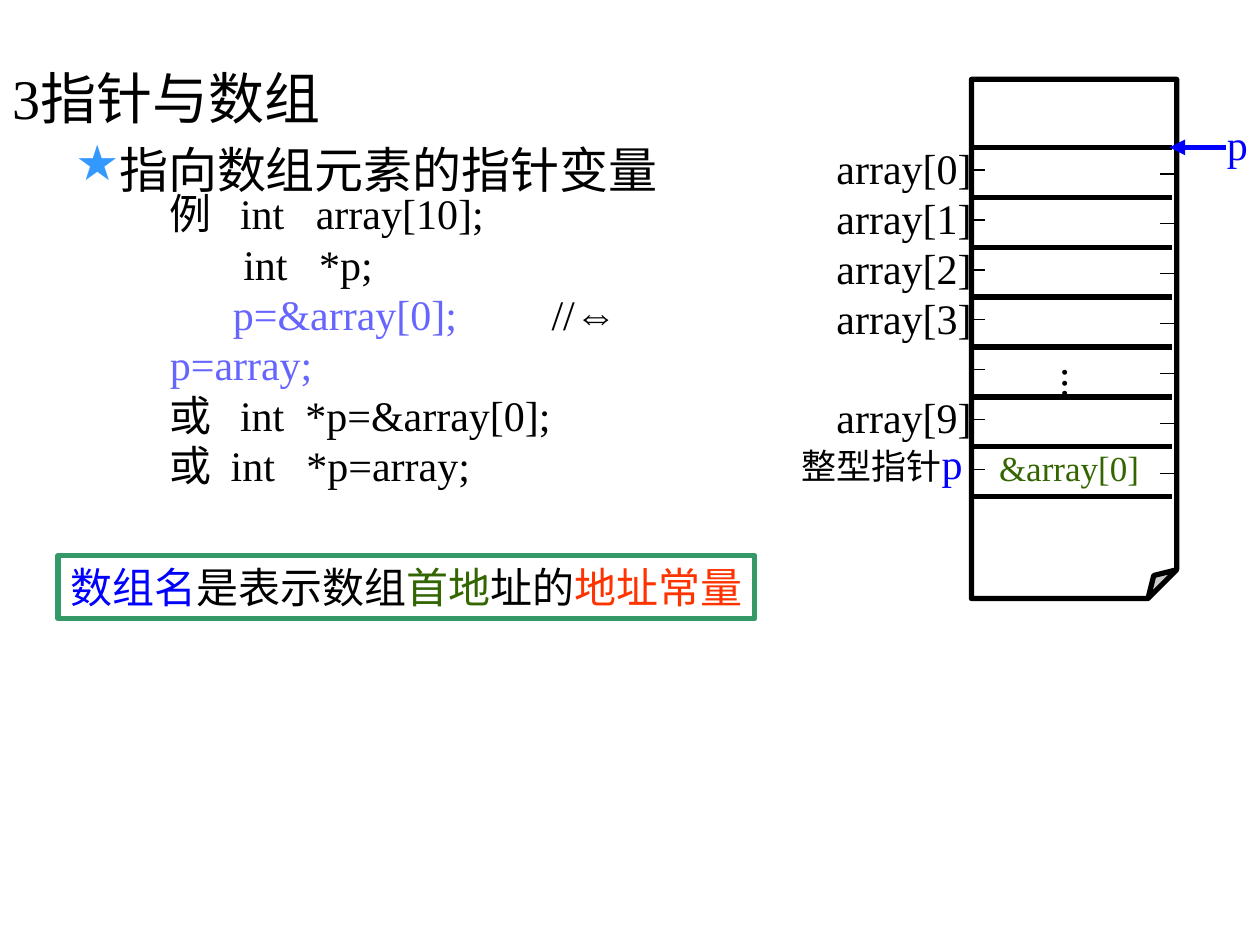
from lxml import etree
from pptx import Presentation
from pptx.dml.color import RGBColor
from pptx.enum.shapes import MSO_CONNECTOR, MSO_SHAPE
from pptx.enum.text import MSO_ANCHOR, MSO_AUTO_SIZE, PP_ALIGN
from pptx.oxml.ns import qn
from pptx.util import Inches, Pt

STRAIGHT = MSO_CONNECTOR.STRAIGHT
RECTANGLE = MSO_SHAPE.RECTANGLE
FOLDED_CORNER = MSO_SHAPE.FOLDED_CORNER
TOP = MSO_ANCHOR.TOP
MIDDLE = MSO_ANCHOR.MIDDLE
NO_AUTOFIT = MSO_AUTO_SIZE.NONE
LEFT = PP_ALIGN.LEFT
CENTER = PP_ALIGN.CENTER

SERIF = "Times New Roman"
BLACK, WHITE, BLUE = "000000", "FFFFFF", "0000FF"
GREEN, BORDER_GREEN, RED = "336600", "339966", "FF3300"
VIOLET, STAR_BLUE = "6666FF", "3399FF"

MEMORY_LEFT, MEMORY_RIGHT = 7.71, 9.3
FIRST_ROW, ROW_HEIGHT, ROW_COUNT = 1.17, 0.396, 7
TICK_LENGTH = 0.11

CODE = [
    [("例   int   array[10];", BLACK)],
    [("       int   *p;", BLACK)],
    [("      ", BLACK), ("p=&array[0];", VIOLET), ("         //", BLACK),
     ("⇔ ", BLACK, 24, "Arial"), ("p=array;", VIOLET)],
    [("或   int  *p=&array[0];", BLACK)],
    [("或  int   *p=array;", BLACK)],
]
CONCLUSION = [
    ("数组名", BLUE), ("是表示数组", BLACK), ("首地", GREEN),
    ("址的", BLACK), ("地址常量", RED),
]


def color(value):
    return RGBColor.from_string(value)


def set_attributes(target, values):
    for name, value in values.items():
        setattr(target, name, value)


def place(shape, left, top, width, height):
    values = zip(("left", "top", "width", "height"), (left, top, width, height))
    set_attributes(shape, {name: Inches(value) for name, value in values})


def add_run(paragraph, text, fill, size=24, font=SERIF):
    run = paragraph.add_run()
    run.text = text
    set_attributes(run.font, {"size": Pt(size), "name": font})
    run.font.color.rgb = color(fill)


def write(shape, paragraphs, alignment=CENTER, anchor=MIDDLE, wrap=False):
    frame = shape.text_frame
    set_attributes(frame, {
        "auto_size": NO_AUTOFIT, "word_wrap": wrap, "vertical_anchor": anchor,
        "margin_left": Inches(0.1), "margin_right": Inches(0.1),
        "margin_top": Inches(0.05), "margin_bottom": Inches(0.05),
    })
    for index, runs in enumerate(paragraphs):
        paragraph = frame.add_paragraph() if index else frame.paragraphs[0]
        paragraph.alignment = alignment
        for run in runs:
            add_run(paragraph, *run)


def add_text(shapes, box, paragraphs, **layout):
    shape = shapes.add_textbox(*map(Inches, box))
    write(shape, paragraphs, **layout)
    return shape


def add_box(shapes, kind, box, line):
    shape = shapes.add_shape(kind, *map(Inches, box))
    shape.shadow.inherit = False
    shape.fill.solid()
    shape.fill.fore_color.rgb = color(WHITE)
    shape.line.color.rgb = color(line)
    shape.line.width = Pt(3)
    return shape


def set_fold(shape, share):
    values = shape.element.spPr.find(qn("a:prstGeom")).get_or_add_avLst()
    etree.SubElement(values, qn("a:gd"), name="adj", fmla=f"val {round(share * 100000)}")


def add_line(shapes, start, end, y, width, line=BLACK):
    connector = shapes.add_connector(STRAIGHT, Inches(start), Inches(y), Inches(end), Inches(y))
    connector.line.color.rgb = color(line)
    connector.line.width = Pt(width)
    etree.SubElement(connector.element.spPr, qn("a:effectLst"))
    return connector


def add_arrowhead(connector):
    line = connector.element.spPr.find(qn("a:ln"))
    etree.SubElement(line, qn("a:tailEnd"), type="triangle")


def add_star_bullet(paragraph):
    properties = paragraph._p.get_or_add_pPr()
    properties.set("marL", str(Inches(0.81)))
    properties.set("indent", str(Inches(-0.31)))
    bullet_color = etree.SubElement(properties, qn("a:buClr"))
    etree.SubElement(bullet_color, qn("a:srgbClr"), val=STAR_BLUE)
    etree.SubElement(properties, qn("a:buChar"), char="★")


def add_headings(slide):
    title = slide.shapes.title
    place(title, 0, 0.45, 7.5, 0.65)
    write(title, [[("3指针与数组", BLACK, 32)]], alignment=LEFT, anchor=TOP, wrap=True)
    subtitle = add_text(slide.shapes, (0, 1.06, 7.5, 0.6),
                        [[("指向数组元素的指针变量", BLACK, 28)]],
                        alignment=LEFT, anchor=TOP, wrap=True)
    add_star_bullet(subtitle.text_frame.paragraphs[0])


def add_memory_grid(shapes):
    sheet = add_box(shapes, FOLDED_CORNER, (MEMORY_LEFT, 0.63, 1.63, 4.12), BLACK)
    set_fold(sheet, 0.14)
    for row in range(ROW_COUNT + 1):
        add_line(shapes, MEMORY_LEFT, MEMORY_RIGHT, FIRST_ROW + row * ROW_HEIGHT, 3)
    add_line(shapes, 8.71, 8.78, 2.35, 0.75)
    for left, top in ((MEMORY_LEFT, 1.35), (9.21, 1.38)):
        for row in range(ROW_COUNT):
            add_line(shapes, left, left + TICK_LENGTH, top + row * ROW_HEIGHT, 0.75)


def add_memory_labels(shapes):
    for row, index in enumerate((0, 1, 2, 3, None, 9)):
        if index is not None:
            add_text(shapes, (6.54, 1.08 + row * ROW_HEIGHT, 1.27, 0.5),
                     [[(f"array[{index}]", BLACK)]])
    dots = add_text(shapes, (8.27, 2.82, 0.6, 0.35), [[("...", BLACK)]])
    dots.text_frame._txBody.bodyPr.set("vert", "eaVert")
    add_text(shapes, (6.23, 3.42, 1.54, 0.5), [[("整型指针", BLACK, 20), ("p", BLUE)]])
    add_text(shapes, (7.83, 3.49, 1.31, 0.44), [[("&array[0]", GREEN, 20)]])


def add_pointer(shapes):
    add_arrowhead(add_line(shapes, 9.73, 9.28, FIRST_ROW, 3, BLUE))
    add_text(shapes, (9.64, 0.89, 0.36, 0.5), [[("p", BLUE)]])


def main():
    presentation = Presentation()
    set_attributes(presentation, {"slide_width": Inches(10), "slide_height": Inches(7.5)})
    slide = presentation.slides.add_slide(presentation.slide_layouts[5])
    add_headings(slide)
    add_text(slide.shapes, (1.25, 1.64, 4.8, 2.1), CODE, alignment=LEFT, wrap=True)
    memory = slide.shapes.add_group_shape().shapes
    add_memory_grid(memory)
    add_memory_labels(memory)
    add_pointer(memory)
    conclusion = add_box(slide.shapes, RECTANGLE, (0.46, 4.41, 5.53, 0.5), BORDER_GREEN)
    write(conclusion, [CONCLUSION])
    presentation.save("out.pptx")


if __name__ == "__main__":
    main()
